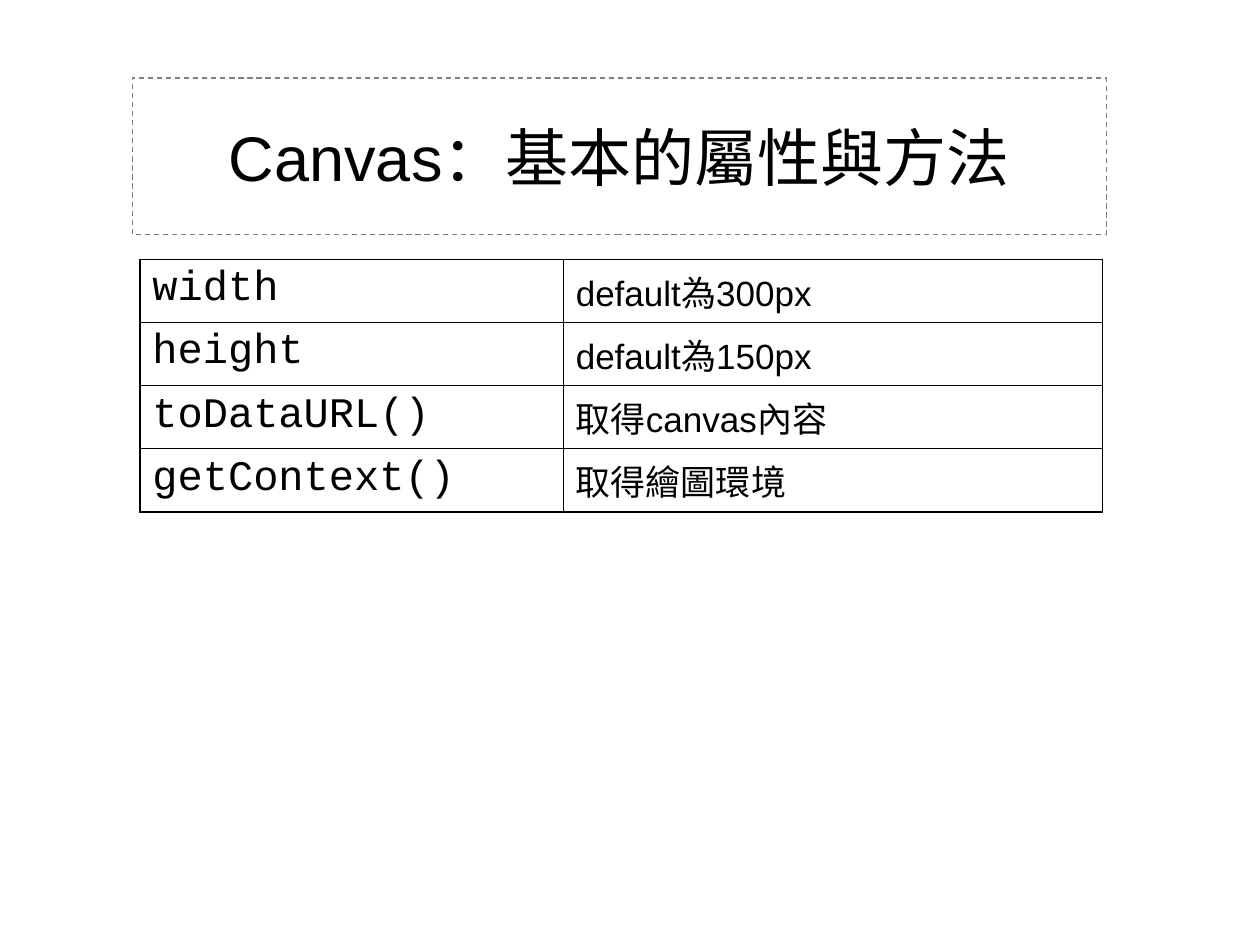
from lxml import etree
from pptx import Presentation
from pptx.dml.color import RGBColor
from pptx.enum import dml, text
from pptx.oxml import ns
from pptx.util import Inches, Pt

BLACK = RGBColor(0x00, 0x00, 0x00)
GRAY = RGBColor(0x7F, 0x7F, 0x7F)
THIN, THICK = Pt(0.45), Pt(1.08)
COLUMN_WIDTHS = (3.36, 4.28)
ROW_HEIGHT = 0.5
COLUMN_FONTS = (("Courier New", 24), ("Arial", 20))
MEMBERS = (
    ("width", "default為300px"),
    ("height", "default為150px"),
    ("toDataURL()", "取得canvas內容"),
    ("getContext()", "取得繪圖環境"),
)


def write_text(text_frame, content, font_name, size):
    text_frame.text = content
    font = text_frame.paragraphs[0].runs[0].font
    font.name = font_name
    font.size = Pt(size)
    font.color.rgb = BLACK


def add_title(slide, content):
    title = slide.shapes.add_textbox(Inches(1.05), Inches(0.62), Inches(7.73), Inches(1.24))
    title.line.color.rgb = GRAY
    title.line.width = Pt(0.75)
    title.line.dash_style = dml.MSO_LINE.DASH
    text_frame = title.text_frame
    text_frame.word_wrap = True
    text_frame.vertical_anchor = text.MSO_ANCHOR.MIDDLE
    write_text(text_frame, content, "Arial", 36)
    text_frame.paragraphs[0].alignment = text.PP_ALIGN.CENTER


def set_borders(cell, widths):
    properties = cell._tc.get_or_add_tcPr()
    for side, width in widths.items():
        border = etree.SubElement(properties, ns.qn(f"a:ln{side}"), w=str(width))
        fill = etree.SubElement(border, ns.qn("a:solidFill"))
        etree.SubElement(fill, ns.qn("a:srgbClr"), val=str(BLACK))


def add_member_table(slide, members):
    last_row, last_column = len(members) - 1, len(COLUMN_WIDTHS) - 1
    table = slide.shapes.add_table(
        len(members), len(COLUMN_WIDTHS), Inches(1.11), Inches(2.06),
        Inches(sum(COLUMN_WIDTHS)), Inches(ROW_HEIGHT * len(members)),
    ).table
    table.first_row = False
    table.horz_banding = False
    for column, width in zip(table.columns, COLUMN_WIDTHS):
        column.width = Inches(width)
    for row_index, member in enumerate(members):
        table.rows[row_index].height = Inches(ROW_HEIGHT)
        for column_index, content in enumerate(member):
            cell = table.cell(row_index, column_index)
            write_text(cell.text_frame, content, *COLUMN_FONTS[column_index])
            set_borders(cell, {
                "L": THICK if column_index == 0 else THIN,
                "R": THICK if column_index == last_column else THIN,
                "T": THICK if row_index == 0 else THIN,
                "B": THICK if row_index == last_row else THIN,
            })
            cell.fill.background()


def main():
    presentation = Presentation()
    presentation.slide_width = Inches(10)
    presentation.slide_height = Inches(7.5)
    slide = presentation.slides.add_slide(presentation.slide_layouts[6])
    add_title(slide, "Canvas：基本的屬性與方法")
    add_member_table(slide, MEMBERS)
    presentation.save("out.pptx")


if __name__ == "__main__":
    main()
